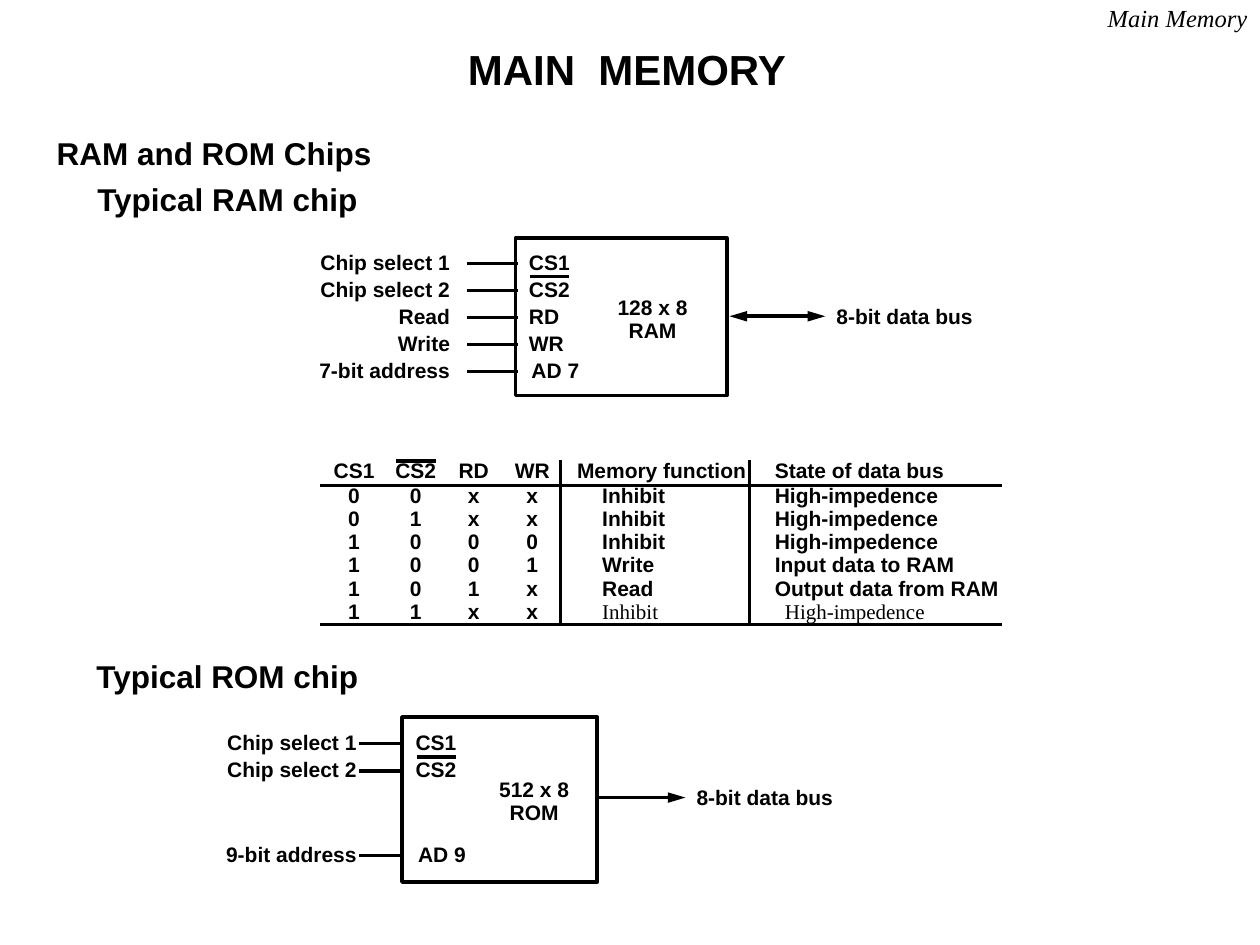
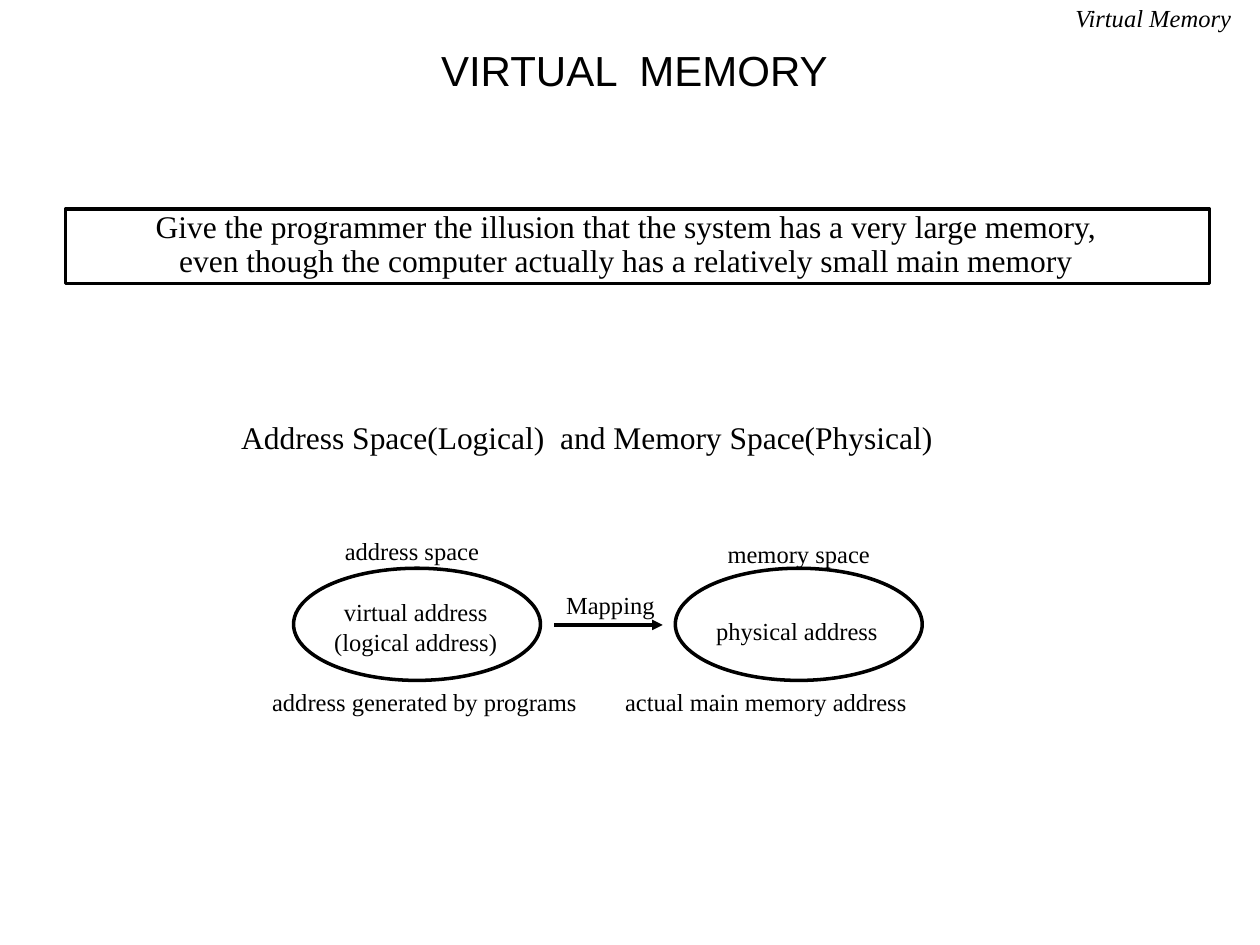
"""Builds two slides on main memory chips and virtual memory."""
from dataclasses import dataclass, replace
from typing import Any

from lxml import etree
from pptx import Presentation
from pptx import util as u
from pptx.dml.color import RGBColor
from pptx.enum import shapes, text
from pptx.oxml import ns

INK = "000000"
SANS, SERIF = "Arial", "Times New Roman"
LEFT, MID, RIGHT = text.PP_ALIGN.LEFT, text.PP_ALIGN.CENTER, text.PP_ALIGN.RIGHT
RULE = 2


@dataclass(frozen=True)
class Style:
    """Look of a piece of text."""
    size: float
    font: str = SERIF
    bold: bool = False
    slant: bool = False
    align: Any = MID
    gap: float = 1.0
    padx: float = 0.07
    pady: float = 0.03


@dataclass(frozen=True)
class Label:
    """Text with its place in inches."""
    words: str
    x: float
    y: float
    w: float
    h: float = 0.28


@dataclass(frozen=True)
class Pin:
    """One input of a chip: outer signal, inner name and height."""
    signal: str
    name: str
    y: float
    bar: bool = False
    shift: float = 0.0


@dataclass(frozen=True)
class Chip:
    """A chip box with its pins, title and data bus."""
    box: tuple[float, float, float, float]
    lead: tuple[float, float]
    edge: float
    pins: tuple[Pin, ...]
    core: Label
    bus: tuple[float, float, float]
    both: bool


TITLE = Style(24, SANS, padx=0.1, pady=0.05)
HEAD = Style(18, SANS, bold=True, gap=1.02)
SMALL = Style(12, SANS, bold=True, gap=0.9, padx=0.1, pady=0.05)
CORNER = Style(14, slant=True, align=RIGHT, gap=0.9, padx=0.1, pady=0.05)
LARGE = Style(18, gap=1.02)
NOTE = Style(14)

RAM = Chip(
    (4.09, 1.89, 1.68, 1.25), (3.71, 4.11), 3.67,
    tuple(Pin(signal, name, 2.09 + 0.215 * i, name == "CS2", 0.02 * (i == 4))
          for i, (signal, name) in enumerate((
              ("Chip select 1", "CS1"), ("Chip select 2", "CS2"),
              ("Read", "RD"), ("Write", "WR"), ("7-bit address", "AD 7")))),
    Label("128 x 8\nRAM", 4.8, 2.31, 0.76, 0.46), (5.79, 6.55, 2.51), True)
ROM = Chip(
    (3.19, 5.69, 1.55, 1.31), (2.85, 3.21), 2.93,
    (Pin("Chip select 1", "CS1", 5.9), Pin("Chip select 2", "CS2", 6.12, True),
     Pin("9-bit address", "AD 9", 6.79, shift=0.02)),
    Label("512 x 8\nROM", 3.86, 6.14, 0.76, 0.46), (4.75, 5.44, 6.33), False)

WIDTHS = (0.54, 0.44, 0.48, 0.45, 1.5, 2.0)
IDLE = "High-impedence"
TRUTH = (
    ("CS1", "CS2", "RD", "WR", "Memory function", "State of data bus"),
    ("0", "0", "x", "x", "Inhibit", IDLE),
    ("0", "1", "x", "x", "Inhibit", IDLE),
    ("1", "0", "0", "0", "Inhibit", IDLE),
    ("1", "0", "0", "1", "Write", "Input data to RAM"),
    ("1", "0", "1", "x", "Read", "Output data from RAM"),
    ("1", "1", "x", "x", "Inhibit", IDLE),
)


def tint(code: str) -> RGBColor:
    """Turn a hex string into a colour."""
    return RGBColor.from_string(code)


def apply(item: Any, values: dict[str, Any]) -> None:
    """Set each named attribute on an item."""
    for name, value in values.items():
        setattr(item, name, value)


def write(frame: Any, words: str, style: Style) -> None:
    """Fill a text frame, one paragraph a line."""
    for i, row in enumerate(words.split("\n")):
        para = frame.add_paragraph() if i else frame.paragraphs[0]
        apply(para, {"alignment": style.align, "line_spacing": style.gap})
        run = para.add_run()
        run.text = row
        apply(run.font, {"name": style.font, "size": u.Pt(style.size),
                         "bold": style.bold, "italic": style.slant})
        run.font.color.rgb = tint(INK)


def put(slide: Any, label: Label, style: Style) -> None:
    """Add a text box."""
    box = slide.shapes.add_textbox(*map(u.Inches, (label.x, label.y, label.w, label.h)))
    padx, pady = u.Inches(style.padx), u.Inches(style.pady)
    apply(box.text_frame, {
        "word_wrap": style.align != MID, "margin_left": padx, "margin_right": padx,
        "margin_top": pady, "margin_bottom": pady})
    write(box.text_frame, label.words, style)


def line(slide: Any, x1: float, y1: float, x2: float, y2: float,
         heads: tuple[str, ...] = (), size: str = "med") -> None:
    """Add a straight line with optional arrowheads."""
    link = slide.shapes.add_connector(
        shapes.MSO_CONNECTOR.STRAIGHT, *map(u.Inches, (x1, y1, x2, y2)))
    link.line.width = u.Pt(RULE)
    link.line.color.rgb = tint(INK)
    for head in heads:
        etree.SubElement(link.line._get_or_add_ln(), ns.qn(f"a:{head}"),
                         type="triangle", w="med", len=size)
    etree.SubElement(link._element.spPr, ns.qn("a:effectLst"))


def frame(slide: Any, kind: Any, place: tuple[float, float, float, float]) -> None:
    """Add an unfilled outline."""
    shape = slide.shapes.add_shape(kind, *map(u.Inches, place))
    shape.shadow.inherit = False
    shape.fill.background()
    shape.line.width = u.Pt(RULE)
    shape.line.color.rgb = tint(INK)


def draw(slide: Any, chip: Chip) -> None:
    """Draw a chip, its pins and its bus."""
    left = chip.box[0] + 0.01
    outer, inner = replace(SMALL, align=RIGHT), replace(SMALL, align=LEFT)
    frame(slide, shapes.MSO_SHAPE.RECTANGLE, chip.box)
    for pin in chip.pins:
        top = pin.y - 0.14
        line(slide, chip.lead[0], pin.y, chip.lead[1], pin.y)
        put(slide, Label(pin.signal, chip.edge - 1.4, top, 1.4), outer)
        put(slide, Label(pin.name, left + pin.shift, top, 0.8), inner)
        if pin.bar:
            line(slide, left + 0.11, pin.y - 0.11, left + 0.42, pin.y - 0.11)
    put(slide, chip.core, SMALL)
    start, end, y = chip.bus
    heads = ("headEnd", "tailEnd") if chip.both else ("tailEnd",)
    line(slide, start, y, end, y, heads, "lg")
    put(slide, Label("8-bit data bus", end - 0.01, y - 0.13, 1.5), inner)


def edge(cell: Any, sides: dict[str, bool]) -> None:
    """Set the cell borders, drawn or empty."""
    props = cell._tc.get_or_add_tcPr()
    for i, (side, shown) in enumerate(sides.items()):
        rule = etree.Element(ns.qn(f"a:{side}"), w=str(u.Pt(RULE) if shown else 0))
        fill = etree.SubElement(rule, ns.qn("a:solidFill" if shown else "a:noFill"))
        if shown:
            etree.SubElement(fill, ns.qn("a:srgbClr"), val=INK)
        props.insert(i, rule)


def chart(slide: Any, x: float, y: float) -> None:
    """Add the table of chip functions."""
    high, low = 0.2, 0.185
    last = len(TRUTH) - 1
    size = (sum(WIDTHS), high + low * last)
    grid = slide.shapes.add_table(
        len(TRUTH), len(WIDTHS), *map(u.Inches, (x, y, *size))).table
    apply(grid, {"first_row": False, "horz_banding": False})
    for col, width in zip(grid.columns, WIDTHS):
        col.width = u.Inches(width)
    for r, row in enumerate(TRUTH):
        grid.rows[r].height = u.Inches(low if r else high)
        for c, words in enumerate(row):
            cell = grid.cell(r, c)
            pad = 0.0 if c < 4 else 0.2 if c == 5 else 0.33 if r else 0.13
            if c == 5 and r == last:
                pad += 0.08
            apply(cell, {"margin_left": u.Inches(pad), "margin_right": 0,
                         "margin_top": 0, "margin_bottom": 0,
                         "vertical_anchor": text.MSO_ANCHOR.MIDDLE})
            style = replace(SMALL, align=MID if c < 4 else LEFT)
            if r == last and c > 3:
                style = replace(style, font=SERIF, bold=False)
            write(cell.text_frame, words, style)
            cell.fill.background()
            edge(cell, {"lnL": c in (4, 5), "lnR": c in (3, 4),
                        "lnT": r == 1, "lnB": r in (0, last)})
    mid = x + WIDTHS[0] + WIDTHS[1] / 2
    line(slide, mid - 0.16, y + 0.01, mid + 0.16, y + 0.01)


def start(deck: Any, title: Label, corner: str, right: float, bold: bool) -> Any:
    """Add a slide with its title and corner heading."""
    slide = deck.slides.add_slide(deck.slide_layouts[6])
    put(slide, title, replace(TITLE, bold=bold))
    put(slide, Label(corner, right - 2, 0, 2, 0.31), CORNER)
    return slide


def chips(deck: Any) -> None:
    """Build the slide on RAM and ROM chips."""
    slide = start(deck, Label("MAIN  MEMORY", 0.74, 0.3, 8.47, 0.5),
                  "Main Memory", 10, True)
    for label in (Label("RAM and ROM Chips", 0.37, 1.03, 2.66, 0.36),
                  Label("Typical RAM chip", 0.69, 1.39, 2.23, 0.36),
                  Label("Typical ROM chip", 0.69, 5.18, 2.23, 0.36)):
        put(slide, label, HEAD)
    draw(slide, RAM)
    chart(slide, 2.54, 3.65)
    draw(slide, ROM)


def spaces(deck: Any) -> None:
    """Build the slide on address and memory spaces."""
    slide = start(deck, Label("VIRTUAL  MEMORY", 0.58, 0.3, 8.91, 0.51),
                  "Virtual Memory", 9.87, False)
    frame(slide, shapes.MSO_SHAPE.RECTANGLE, (0.52, 1.66, 9.08, 0.59))
    put(slide, Label(
        "Give the programmer the illusion that the system has a very large memory,\n"
        "even though the computer actually has a relatively small main memory",
        0.42, 1.65, 9.1, 0.6), replace(LARGE, gap=0.9))
    put(slide, Label("Address Space(Logical)  and Memory Space(Physical)",
                     1.37, 3.28, 6.58, 0.36), LARGE)
    for x in (2.33, 5.36):
        frame(slide, shapes.MSO_SHAPE.OVAL, (x, 4.51, 1.96, 0.89))
    line(slide, 4.4, 4.96, 5.26, 4.96, ("tailEnd",))
    for label in (Label("address space", 2.53, 4.22, 1.48),
                  Label("memory space", 5.59, 4.25, 1.5),
                  Label("virtual address\n(logical address)", 2.46, 4.71, 1.68, 0.52),
                  Label("physical address", 5.47, 4.86, 1.71),
                  Label("Mapping", 4.38, 4.65, 0.93),
                  Label("address generated by programs", 2.07, 5.42, 2.6),
                  Label("actual main memory address", 4.88, 5.42, 2.4)):
        put(slide, label, NOTE)


def main() -> None:
    """Build and save the deck."""
    deck = Presentation()
    apply(deck, {"slide_width": u.Inches(10), "slide_height": u.Inches(7.5)})
    chips(deck)
    spaces(deck)
    deck.save("out.pptx")


main()
